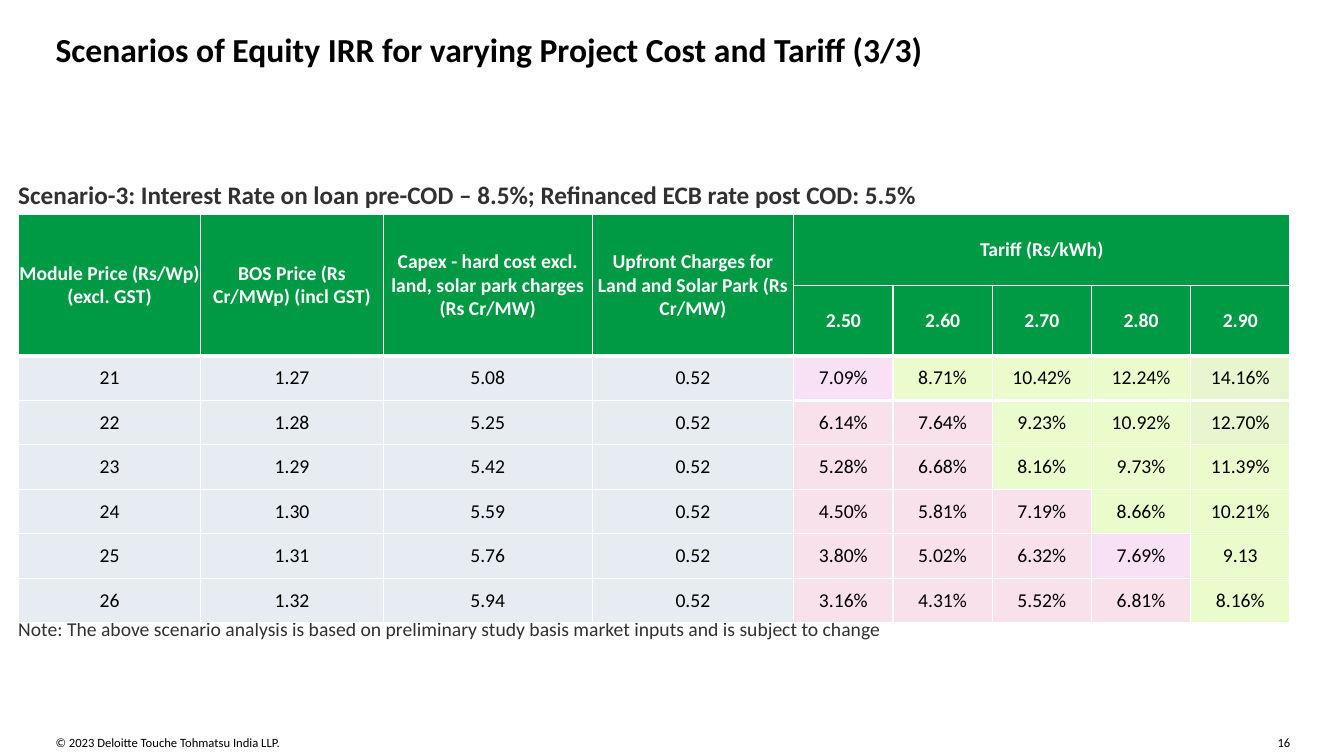
from lxml import etree
from pptx import Presentation
from pptx.dml.color import RGBColor
from pptx.enum import text
from pptx.oxml.ns import qn
from pptx.util import Cm, Pt

TITLE = "Scenarios of Equity IRR for varying Project Cost and Tariff (3/3)"
SCENARIO = "Scenario-3: Interest Rate on loan pre-COD – 8.5%; Refinanced ECB rate post COD: 5.5%"
NOTE = ("Note: The above scenario analysis is based on preliminary study basis "
        "market inputs and is subject to change")
COPYRIGHT = "© 2023 Deloitte Touche Tohmatsu India LLP."
PAGE = "16"
COST_HEADS = ["Module Price (Rs/Wp) (excl. GST)", "BOS Price (Rs Cr/MWp) (incl GST)",
              "Capex - hard cost excl. land, solar park charges (Rs Cr/MW)",
              "Upfront Charges for Land and Solar Park (Rs Cr/MW)"]
TARIFF_HEAD = "Tariff (Rs/kWh)"
TARIFFS = ["2.50", "2.60", "2.70", "2.80", "2.90"]
CASES = [
    ["21", "1.27", "5.08", "0.52", "7.09%", "8.71%", "10.42%", "12.24%", "14.16%"],
    ["22", "1.28", "5.25", "0.52", "6.14%", "7.64%", "9.23%", "10.92%", "12.70%"],
    ["23", "1.29", "5.42", "0.52", "5.28%", "6.68%", "8.16%", "9.73%", "11.39%"],
    ["24", "1.30", "5.59", "0.52", "4.50%", "5.81%", "7.19%", "8.66%", "10.21%"],
    ["25", "1.31", "5.76", "0.52", "3.80%", "5.02%", "6.32%", "7.69%", "9.13"],
    ["26", "1.32", "5.94", "0.52", "3.16%", "4.31%", "5.52%", "6.81%", "8.16%"],
]
BORDERLINE = {"7.09%", "7.69%"}
HURDLE, HIGH = 8, 12.5  # equity IRR, %

BLACK = RGBColor(0x00, 0x00, 0x00)
WHITE = RGBColor(0xFF, 0xFF, 0xFF)
GREY = RGBColor(0x31, 0x31, 0x31)
GREEN = RGBColor(0x00, 0x9A, 0x44)
COST_FILL = RGBColor(0xE7, 0xEC, 0xF2)
LOW_FILL = RGBColor(0xF9, 0xE1, 0xEC)
BORDERLINE_FILL = RGBColor(0xF9, 0xE1, 0xF5)
PASS_FILL = RGBColor(0xEB, 0xFC, 0xCC)
HIGH_FILL = RGBColor(0xE8, 0xF6, 0xCF)

LEFT, MARGIN = 0.46, 1.4
TABLE_TOP = 5.41
COL_WIDTHS = [4.6, 4.6, 5.26, 5.08] + [2.5] * len(TARIFFS)
ROW_HEIGHTS = [1.78, 1.58] + [1.12] * len(CASES)
N_COST, N_HEAD = len(COST_HEADS), 2


def set_text(tf, words, size, color, bold=False, align=text.PP_ALIGN.LEFT):
    p = tf.paragraphs[0]
    p.alignment = align
    r = p.add_run()
    r.text = words
    r.font.color.rgb = color
    for name, value in {"name": "Calibri", "size": Pt(size), "bold": bold}.items():
        setattr(r.font, name, value)


def clear_margins(obj):
    for side in ("left", "top", "right", "bottom"):
        setattr(obj, f"margin_{side}", 0)


def add_label(slide, words, box, size, color, **style):
    tf = slide.shapes.add_textbox(*map(Cm, box)).text_frame
    tf.word_wrap = True
    clear_margins(tf)
    set_text(tf, words, size, color, **style)


def irr_fill(words):
    if words in BORDERLINE:
        return BORDERLINE_FILL
    irr = float(words.rstrip("%"))
    return HIGH_FILL if irr > HIGH else PASS_FILL if irr > HURDLE else LOW_FILL


def set_borders(cell, widths):
    """Draw white borders; widths maps side (L, R, T, B) to points."""
    tcPr = cell._tc.get_or_add_tcPr()
    for side in "LRTB":
        ln = etree.SubElement(tcPr, qn(f"a:ln{side}"), w=str(Pt(widths.get(side, 1))))
        fill = etree.SubElement(ln, qn("a:solidFill"))
        etree.SubElement(fill, qn("a:srgbClr"), val=str(WHITE))


def add_irr_table(slide):
    grid = [COST_HEADS + [TARIFF_HEAD] + [""] * (len(TARIFFS) - 1),
            [""] * N_COST + TARIFFS] + CASES
    frame = slide.shapes.add_table(len(grid), len(COL_WIDTHS), Cm(LEFT), Cm(TABLE_TOP),
                                   Cm(sum(COL_WIDTHS)), Cm(sum(ROW_HEIGHTS)))
    table = frame.table
    for col, width in zip(table.columns, COL_WIDTHS):
        col.width = Cm(width)
    for row, height in zip(table.rows, ROW_HEIGHTS):
        row.height = Cm(height)
    for c in range(N_COST):
        table.cell(0, c).merge(table.cell(1, c))
    table.cell(0, N_COST).merge(table.cell(0, len(COL_WIDTHS) - 1))

    for i, row in enumerate(grid):
        for j, words in enumerate(row):
            cell, head, cost = table.cell(i, j), i < N_HEAD, j < N_COST
            # Heavy rules close the header and the first tariff row
            heavy = {N_HEAD} if cost else {N_HEAD, N_HEAD + 1}
            merged_head = cost and i == 0
            set_borders(cell, {"T": 3 if i in heavy else 1,
                               "B": 3 if i + 1 in heavy or merged_head else 1})
            cell.fill.solid()
            cell.fill.fore_color.rgb = GREEN if head else COST_FILL if cost else irr_fill(words)
            clear_margins(cell)
            cell.vertical_anchor = text.MSO_ANCHOR.MIDDLE
            if words:
                set_text(cell.text_frame, words, 14, WHITE if head else BLACK,
                         bold=head, align=text.PP_ALIGN.CENTER)


def main():
    prs = Presentation()
    prs.slide_width, prs.slide_height = Cm(33.86), Cm(19.05)
    s = prs.slides.add_slide(prs.slide_layouts[5])

    title = s.shapes.title
    title.left, title.top, title.width, title.height = map(Cm, (MARGIN, 0.74, 31.1, 0.94))
    tf = title.text_frame
    clear_margins(tf)
    tf.vertical_anchor = text.MSO_ANCHOR.TOP
    set_text(tf, TITLE, 24, BLACK, bold=True)

    add_label(s, SCENARIO, (LEFT, 4.52, 32.87, 0.76), 18, GREY, bold=True)
    add_label(s, NOTE, (LEFT, 15.54, 32.87, 0.61), 14, GREY)
    add_irr_table(s)
    add_label(s, COPYRIGHT, (MARGIN, 18.52, 14.88, 0.38), 9, BLACK)
    add_label(s, PAGE, (31.5, 18.52, 1.01, 0.38), 9, BLACK, align=text.PP_ALIGN.RIGHT)
    prs.save("out.pptx")


if __name__ == "__main__":
    main()
